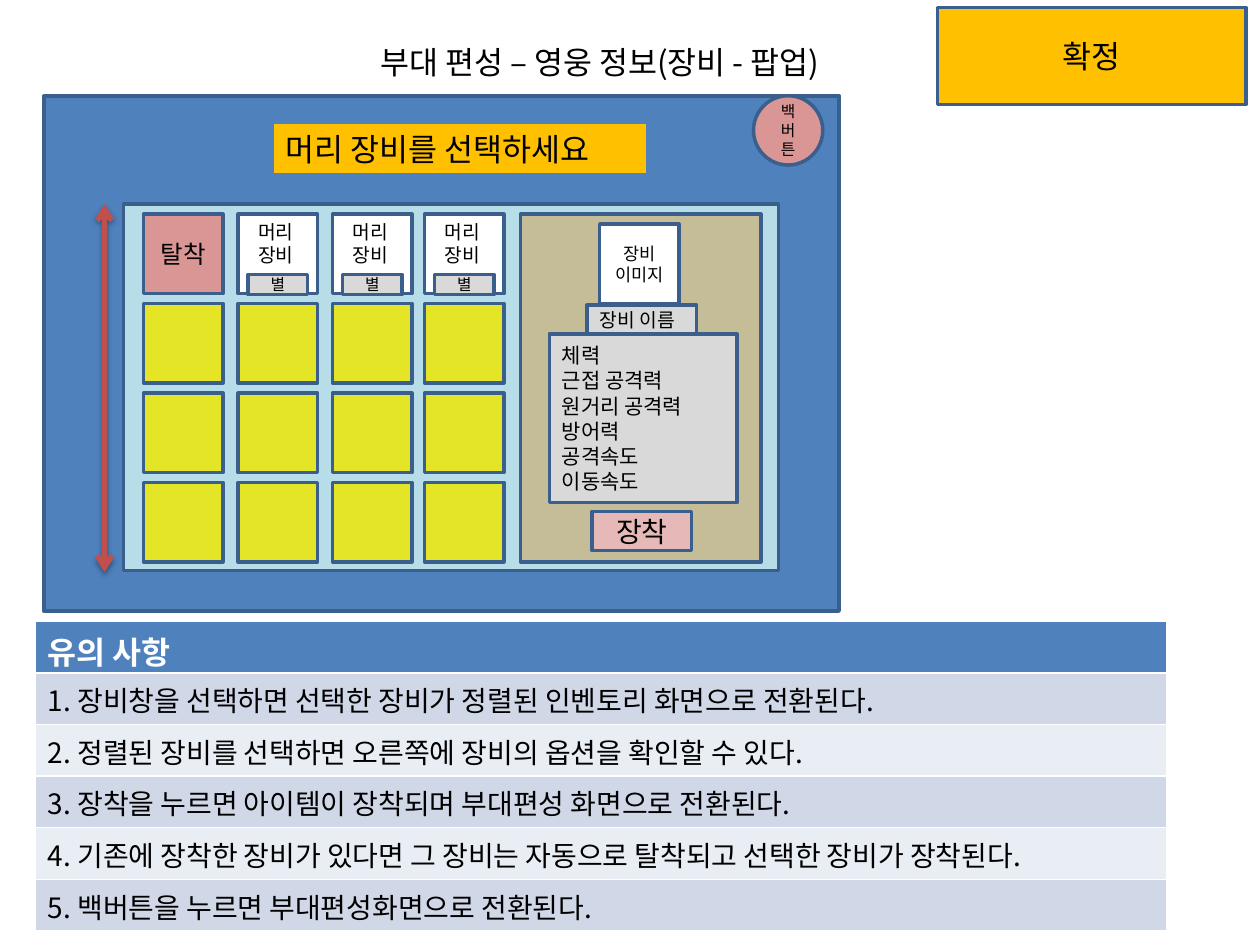
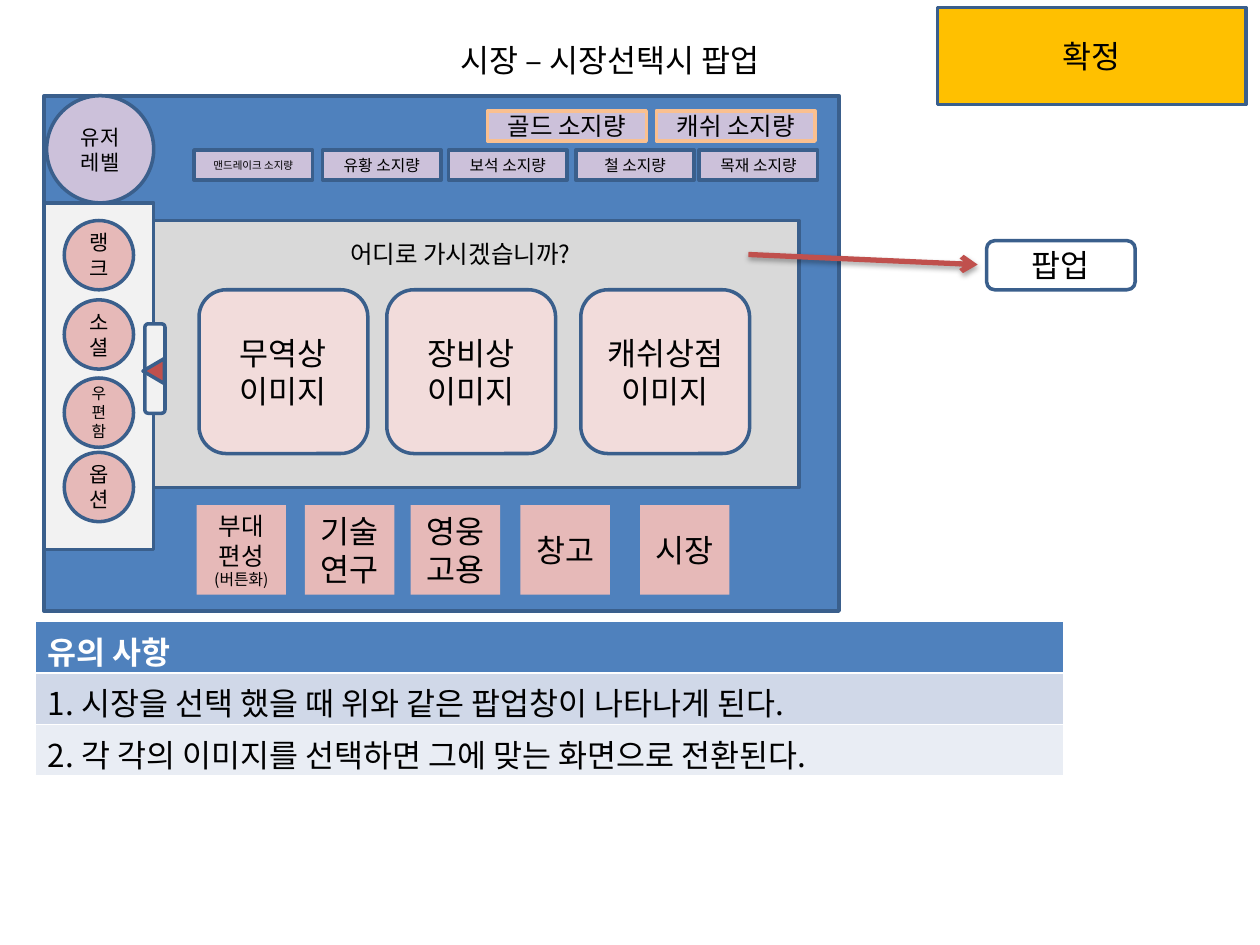
from dataclasses import dataclass

from lxml import etree
from pptx import Presentation
from pptx import util as u
from pptx.dml.color import RGBColor
from pptx.enum import shapes, text
from pptx.oxml import ns


@dataclass(frozen=True)
class Theme:
    font: str = "Noto Sans CJK KR"
    black: str = "000000"
    white: str = "FFFFFF"
    blue: str = "4F81BD"
    edge: str = "3A5F8C"
    amber: str = "FFC000"
    red: str = "C0504D"
    rose: str = "D99694"
    pink: str = "E6B9B8"
    blush: str = "F2DCDB"
    lilac: str = "CCC1DA"
    peach: str = "FAC090"
    aqua: str = "B7DEE8"
    khaki: str = "C4BD97"
    yellow: str = "E5E527"
    gray: str = "D9D9D9"
    pale: str = "F2F2F2"
    bands: tuple = ("D0D8E8", "E9EDF4")
    title: int = 18
    large: int = 16
    medium: int = 14
    body: int = 12
    label: int = 11
    small: int = 10
    tiny: int = 9
    micro: int = 6


T = Theme()
RECT = shapes.MSO_SHAPE.RECTANGLE
ROUND = shapes.MSO_SHAPE.ROUNDED_RECTANGLE
OVAL = shapes.MSO_SHAPE.OVAL
TRIANGLE = shapes.MSO_SHAPE.ISOSCELES_TRIANGLE
LEFT, CENTER = text.PP_ALIGN.LEFT, text.PP_ALIGN.CENTER
TOP, MIDDLE = text.MSO_ANCHOR.TOP, text.MSO_ANCHOR.MIDDLE

# Shared content
STATUS = "확정"
NOTES_HEAD = "유의 사항"

# Equipment popup content
GEAR_TITLE = "부대 편성 – 영웅 정보(장비 - 팝업)"
GEAR_PROMPT = "머리 장비를 선택하세요"
GEAR_STATS = ["체력", "근접 공격력", "원거리 공격력", "방어력", "공격속도", "이동속도"]
GEAR_NOTES = [
    "1. 장비창을 선택하면 선택한 장비가 정렬된 인벤토리 화면으로 전환된다.",
    "2. 정렬된 장비를 선택하면 오른쪽에 장비의 옵션을 확인할 수 있다.",
    "3. 장착을 누르면 아이템이 장착되며 부대편성 화면으로 전환된다.",
    "4. 기존에 장착한 장비가 있다면 그 장비는 자동으로 탈착되고 선택한 장비가 장착된다.",
    "5. 백버튼을 누르면 부대편성화면으로 전환된다.",
]
SLOT_LEFTS = [1.14, 1.89, 2.64, 3.37]
SLOT_TOP, SLOT_PITCH, SLOT_SIZE, SLOT_ROWS = 1.7, 0.71, 0.63, 4

# Market popup content: labels with left or top edge and size
MARKET_TITLE = "시장 – 시장선택시 팝업"
MARKET_PROMPT = "어디로 가시겠습니까?"
MONEY = [("골드 소지량", 3.87), ("캐쉬 소지량", 5.21)]
RESOURCES = [
    ("맨드레이크 소지량", 1.54, T.micro),
    ("유황 소지량", 2.56, T.tiny),
    ("보석 소지량", 3.56, T.tiny),
    ("철 소지량", 4.57, T.tiny),
    ("목재 소지량", 5.55, T.tiny),
]
SHOPS = [("무역상\n이미지", 1.58), ("장비상\n이미지", 3.07), ("캐쉬상점이미지", 4.61)]
MENU = [
    ("부대편성\n(버튼화)", 1.56, (T.medium, T.tiny)),
    ("기술 연구", 2.42, T.title),
    ("영웅고용", 3.26, T.title),
    ("창고", 4.13, T.title),
    ("시장", 5.08, T.title),
]
SIDE_BUTTONS = [
    ("랭크", 1.75, T.body),
    ("소셜", 2.38, T.body),
    ("우편함", 3.0, T.tiny),
    ("옵션", 3.59, T.body),
]
MARKET_NOTES = [
    "1. 시장을 선택 했을 때 위와 같은 팝업창이 나타나게 된다.",
    "2. 각 각의 이미지를 선택하면 그에 맞는 화면으로 전환된다.",
]


def rgb(color):
    return RGBColor.from_string(color)


def write(tf, words, size, color=T.black, align=LEFT, bold=False):
    """Fill a text frame; size is one number or one per paragraph."""
    tf.text = words
    sizes = size if isinstance(size, tuple) else (size,) * len(tf.paragraphs)
    for p, points in zip(tf.paragraphs, sizes):
        p.alignment = align
        for r in p.runs:
            r.font.size, r.font.bold = u.Pt(points), bold
            r.font.color.rgb = rgb(color)
            r.font.name = T.font
            ea = etree.SubElement(r.font._element, ns.qn("a:ea"))
            ea.set("typeface", T.font)


def add_box(s, at, fill, words="", size=T.title, kind=RECT, line=T.edge,
            width=2, align=CENTER, anchor=MIDDLE):
    sp = s.shapes.add_shape(kind, *map(u.Inches, at))
    sp.shadow.inherit = False
    sp.fill.solid()
    sp.fill.fore_color.rgb = rgb(fill)
    if line:
        sp.line.color.rgb = rgb(line)
        sp.line.width = u.Pt(width)
    else:
        sp.line.fill.background()
    if words:
        sp.text_frame.vertical_anchor = anchor
        write(sp.text_frame, words, size, align=align)
    return sp


def add_label(s, at, words, size):
    tf = s.shapes.add_textbox(*map(u.Inches, at)).text_frame
    tf.word_wrap = True
    write(tf, words, size)


def add_arrow(s, start, end, both=False):
    c = s.shapes.add_connector(shapes.MSO_CONNECTOR.STRAIGHT,
                               *map(u.Inches, start + end))
    c.line.color.rgb = rgb(T.red)
    c.line.width = u.Pt(3)
    ln = c.line._get_or_add_ln()
    for tag in ("a:headEnd", "a:tailEnd") if both else ("a:tailEnd",):
        etree.SubElement(ln, ns.qn(tag)).set("type", "arrow")
    # Soft shadow straight below the line
    effects = etree.SubElement(c._element.spPr, ns.qn("a:effectLst"))
    shadow = etree.SubElement(effects, ns.qn("a:outerShdw"), blurRad=str(u.Pt(3.1)),
                              dist=str(u.Pt(1.8)), dir="5400000", rotWithShape="0")
    color = etree.SubElement(shadow, ns.qn("a:srgbClr"), val=T.black)
    etree.SubElement(color, ns.qn("a:alpha"), val="35000")


def add_notes(s, notes, width, size):
    rows = [NOTES_HEAD] + notes
    at = (0.28, 4.93, width, 0.41 * len(rows))
    table = s.shapes.add_table(len(rows), 1, *map(u.Inches, at)).table
    for i, words in enumerate(rows):
        head = i == 0
        cell = table.cell(i, 0)
        cell.fill.solid()
        cell.fill.fore_color.rgb = rgb(T.blue if head else T.bands[(i - 1) % 2])
        write(cell.text_frame, words, T.title if head else size,
              T.white if head else T.black, bold=head)


def add_screen(prs, title, title_at):
    """Start a slide with its title, status badge and game screen."""
    s = prs.slides.add_slide(prs.slide_layouts[6])
    add_label(s, title_at, title, T.title)
    add_box(s, (0.35, 0.76, 6.31, 4.09), T.blue)
    add_box(s, (7.44, 0.06, 2.45, 0.77), T.amber, STATUS)
    return s


def build_gear(prs):
    s = add_screen(prs, GEAR_TITLE, (2.92, 0.29, 4.16, 0.4))
    add_notes(s, GEAR_NOTES, 8.98, T.large)
    add_box(s, (5.98, 0.76, 0.55, 0.55), T.rose, "백버튼", T.tiny, OVAL)
    add_box(s, (2.17, 0.98, 2.96, 0.4), T.amber, GEAR_PROMPT, T.title,
            line=T.blue, width=0.75, align=LEFT, anchor=TOP)

    # Inventory grid: remove button, head gear, then empty slots
    add_box(s, (0.98, 1.62, 5.2, 2.91), T.aqua)
    for row in range(SLOT_ROWS):
        for col, x in enumerate(SLOT_LEFTS):
            at = (x, SLOT_TOP + row * SLOT_PITCH, SLOT_SIZE, SLOT_SIZE)
            if row:
                add_box(s, at, T.yellow)
            elif col == 0:
                add_box(s, at, T.rose, "탈착", T.medium)
            else:
                add_box(s, at, T.white)
                add_box(s, (x + 0.08, 2.18, 0.47, 0.16), T.gray, "별", T.tiny)
                add_label(s, (x + 0.06, 1.7, 0.51, 0.47), "머리\n장비", T.label)
    add_arrow(s, (0.83, 4.54), (0.83, 1.62), both=True)

    # Details of the chosen item
    add_box(s, (4.13, 1.7, 1.91, 2.76), T.khaki)
    add_box(s, (4.76, 1.78, 0.63, 0.63), T.white, "장비 이미지", T.small)
    add_box(s, (4.36, 2.65, 1.49, 1.34), T.gray, "\n".join(GEAR_STATS), T.body,
            align=LEFT)
    add_box(s, (4.7, 4.06, 0.79, 0.31), T.pink, "장착", T.large)
    add_box(s, (4.66, 2.42, 0.87, 0.23), T.gray, "장비 이름", T.label, align=LEFT)


def build_market(prs):
    s = add_screen(prs, MARKET_TITLE, (3.56, 0.28, 2.87, 0.4))
    add_notes(s, MARKET_NOTES, 8.16, T.title)

    # Holdings and player level
    for words, x in MONEY:
        add_box(s, (x, 0.88, 1.26, 0.24), T.lilac, words, T.medium, line=T.peach)
    for words, x, size in RESOURCES:
        add_box(s, (x, 1.19, 0.94, 0.24), T.lilac, words, size)
    add_box(s, (0.37, 0.76, 0.85, 0.85), T.lilac, "유저\n레벨", T.body, OVAL)

    # Shop popup and its callout
    add_box(s, (1.22, 1.75, 5.12, 2.12), T.gray)
    add_label(s, (2.68, 1.85, 2.13, 0.34), MARKET_PROMPT, T.medium)
    for words, x in SHOPS:
        add_box(s, (x, 2.3, 1.34, 1.3), T.blush, words, T.title, ROUND)
    add_arrow(s, (5.94, 2.02), (7.76, 2.1))
    add_box(s, (7.83, 1.91, 1.18, 0.39), T.white, "팝업", T.title, ROUND)

    # Bottom menu
    for words, x, size in MENU:
        add_box(s, (x, 4.01, 0.71, 0.71), T.pink, words, size, line=None)

    # Side drawer with its handle
    add_box(s, (0.35, 1.61, 0.87, 2.75), T.pale)
    for words, y, size in SIDE_BUTTONS:
        add_box(s, (0.51, y, 0.55, 0.55), T.pink, words, size, OVAL)
    add_box(s, (1.15, 2.57, 0.16, 0.71), T.pale, kind=ROUND)
    add_box(s, (1.12, 2.86, 0.2, 0.17), T.red, kind=TRIANGLE).rotation = 270


def main():
    prs = Presentation()
    prs.slide_width, prs.slide_height = u.Inches(10), u.Inches(7.5)
    build_gear(prs)
    build_market(prs)
    prs.save("out.pptx")


if __name__ == "__main__":
    main()
